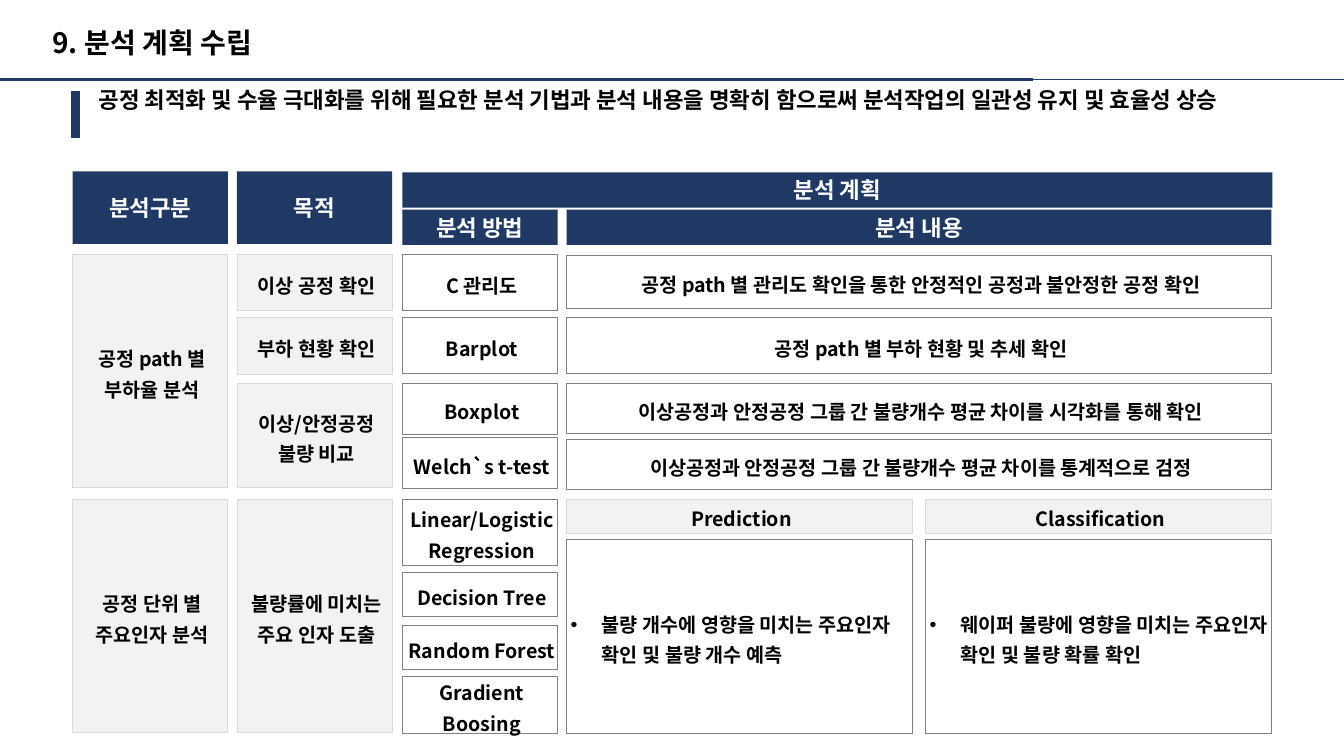
"""Build the analysis plan slide."""
from dataclasses import dataclass
from typing import Optional

from lxml.etree import SubElement
from pptx import Presentation
from pptx.dml.color import RGBColor
from pptx.enum.shapes import MSO_CONNECTOR, MSO_SHAPE
from pptx.enum.text import MSO_ANCHOR, MSO_AUTO_SIZE, PP_ALIGN
from pptx.oxml.ns import qn
from pptx.slide import Slide
from pptx.text.text import TextFrame
from pptx.util import Emu, Pt


@dataclass(frozen=True)
class Theme:
    """Colours, font and type sizes."""
    navy: str = "203864"
    black: str = "000000"
    white: str = "FFFFFF"
    pale: str = "F2F2F2"
    edge: str = "D9D9D9"
    gray: str = "808080"
    font: str = "Noto Sans CJK KR"
    title: int = 20
    head: int = 16
    cell: int = 14


@dataclass(frozen=True)
class Look:
    """Style of a text and its box."""
    size: int
    ink: str = Theme.black
    fill: Optional[str] = None
    line: Optional[str] = None
    align: PP_ALIGN = PP_ALIGN.CENTER
    pitch: float = 1.3
    pad: tuple[int, int, int, int] = (4, 4, 0, 5)
    bullet: bool = False


@dataclass(frozen=True)
class Box:
    """A labelled rectangle in px."""
    x: int
    y: int
    w: int
    h: int
    text: str
    look: Look


@dataclass(frozen=True)
class Rule:
    """A straight line in px, with its weight in points."""
    x1: int
    y1: int
    x2: int
    y2: int
    weight: float


WIDTH, HEIGHT = 1333, 750
KIND, GOAL, METHOD, DETAIL = 72, 235, 399, 562
SLIM, WIDE, FULL, HALF = 154, 699, 863, 343
RIGHT = DETAIL + WIDE - HALF
WIDE_PAD = (10, 5, 10, 5)

TITLE = Look(Theme.title, align=PP_ALIGN.LEFT, pitch=0.9, pad=WIDE_PAD)
LEAD = Look(Theme.head, align=PP_ALIGN.LEFT, pitch=1.0, pad=WIDE_PAD)
HEAD = Look(Theme.head, Theme.white, Theme.navy, pitch=1.0, pad=WIDE_PAD)
GROUP = Look(Theme.cell, fill=Theme.pale, line=Theme.edge)
PLAIN = Look(Theme.cell, line=Theme.gray)
POINT = Look(Theme.cell, line=Theme.gray, align=PP_ALIGN.LEFT, bullet=True)

RULES = [
    Rule(0, 79, WIDTH, 79, 0.75),
    Rule(0, 79, 1025, 79, 2.5),
    Rule(75, 90, 75, 137, 6),
]

HEADS = [
    Box(KIND, 170, SLIM, 72, "분석구분", HEAD),
    Box(GOAL, 170, SLIM, 72, "목적", HEAD),
    Box(METHOD, 171, FULL, 35, "분석 계획", HEAD),
    Box(METHOD, 208, SLIM, 35, "분석 방법", HEAD),
    Box(DETAIL, 208, WIDE, 35, "분석 내용", HEAD),
]


def stack(x: int, w: int, look: Look, *rows: tuple[int, int, str]) -> list[Box]:
    """Make one column of boxes from (top, height, text) rows."""
    return [Box(x, y, w, h, text, look) for y, h, text in rows]


CELLS = [
    *stack(KIND, SLIM, GROUP,
           (252, 232, "공정 path 별 부하율 분석"),
           (495, 232, "공정 단위 별 주요인자 분석")),
    *stack(GOAL, SLIM, GROUP,
           (252, 56, "이상 공정 확인"),
           (315, 56, "부하 현황 확인"),
           (380, 104, "이상/안정공정\n불량 비교"),
           (495, 232, "불량률에 미치는 주요 인자 도출")),
    *stack(METHOD, SLIM, PLAIN,
           (252, 56, "C 관리도"),
           (315, 55, "Barplot"),
           (380, 51, "Boxplot"),
           (434, 51, "Welch`s t-test"),
           (495, 66, "Linear/Logistic\nRegression"),
           (568, 44, "Decision Tree"),
           (620, 44, "Random Forest"),
           (671, 57, "Gradient Boosing")),
    *stack(DETAIL, WIDE, PLAIN,
           (253, 53, "공정 path 별 관리도 확인을 통한 안정적인 공정과 불안정한 공정 확인"),
           (315, 55, "공정 path 별 부하 현황 및 추세 확인"),
           (380, 50, "이상공정과 안정공정 그룹 간 불량개수 평균 차이를 시각화를 통해 확인"),
           (436, 50, "이상공정과 안정공정 그룹 간 불량개수 평균 차이를 통계적으로 검정")),
]

MODELS = [
    (DETAIL, "Prediction", "불량 개수에 영향을 미치는 주요인자 확인 및 불량 개수 예측"),
    (RIGHT, "Classification", "웨이퍼 불량에 영향을 미치는 주요인자 확인 및 불량 확률 확인"),
]


def px(count: int) -> Emu:
    """Turn px into EMU."""
    return Emu(count * 9144)


def write(frame: TextFrame, text: str, look: Look, anchor: MSO_ANCHOR) -> None:
    """Fill a text frame in the given look."""
    frame.word_wrap = True
    frame.auto_size = MSO_AUTO_SIZE.NONE
    frame.vertical_anchor = anchor
    (frame.margin_left, frame.margin_top,
     frame.margin_right, frame.margin_bottom) = map(px, look.pad)
    frame.text = text
    for para in frame.paragraphs:
        para.alignment = look.align
        para.line_spacing = look.pitch
        props = para._p.get_or_add_pPr()
        if look.bullet:
            props.set("marL", str(px(31)))
            props.set("indent", str(px(-31)))
            SubElement(props, qn("a:buFont"), typeface="Arial")
            SubElement(props, qn("a:buChar"), char="•")
        font = para.font
        font.name = Theme.font
        font.size = Pt(look.size)
        font.bold = True
        font.color.rgb = RGBColor.from_string(look.ink)
        SubElement(props.find(qn("a:defRPr")), qn("a:ea"), typeface=Theme.font)


def draw_box(slide: Slide, box: Box) -> None:
    """Draw a rectangle with its text."""
    shape = slide.shapes.add_shape(
        MSO_SHAPE.RECTANGLE, *map(px, (box.x, box.y, box.w, box.h)))
    shape.shadow.inherit = False
    look = box.look
    if look.fill:
        shape.fill.solid()
        shape.fill.fore_color.rgb = RGBColor.from_string(look.fill)
    else:
        shape.fill.background()
    if look.line:
        shape.line.color.rgb = RGBColor.from_string(look.line)
        shape.line.width = Pt(0.5)
    else:
        shape.line.fill.background()
    write(shape.text_frame, box.text, look, MSO_ANCHOR.MIDDLE)


def draw_rule(slide: Slide, rule: Rule) -> None:
    """Draw a navy line."""
    line = slide.shapes.add_connector(
        MSO_CONNECTOR.STRAIGHT, *map(px, (rule.x1, rule.y1, rule.x2, rule.y2)))
    line.line.color.rgb = RGBColor.from_string(Theme.navy)
    line.line.width = Pt(rule.weight)
    SubElement(line._element.spPr, qn("a:effectLst"))


def main() -> None:
    """Build and save the slide."""
    deck = Presentation()
    deck.slide_width, deck.slide_height = px(WIDTH), px(HEIGHT)
    slide = deck.slides.add_slide(deck.slide_layouts[5])
    title = slide.shapes.title
    title.left, title.top, title.width, title.height = map(px, (42, 24, 919, 47))
    write(title.text_frame, "9. 분석 계획 수립", TITLE, MSO_ANCHOR.TOP)
    for rule in RULES:
        draw_rule(slide, rule)
    lead = slide.shapes.add_textbox(*map(px, (88, 81, 1171, 64)))
    write(lead.text_frame,
          "공정 최적화 및 수율 극대화를 위해 필요한 분석 기법과 분석 내용을 "
          "명확히 함으로써 분석작업의 일관성 유지 및 효율성 상승",
          LEAD, MSO_ANCHOR.TOP)
    for box in HEADS + CELLS:
        draw_box(slide, box)
    for x, name, point in MODELS:
        draw_box(slide, Box(x, 495, HALF, 34, name, GROUP))
        draw_box(slide, Box(x, 535, HALF, 193, point, POINT))
    deck.save("out.pptx")


if __name__ == "__main__":
    main()
